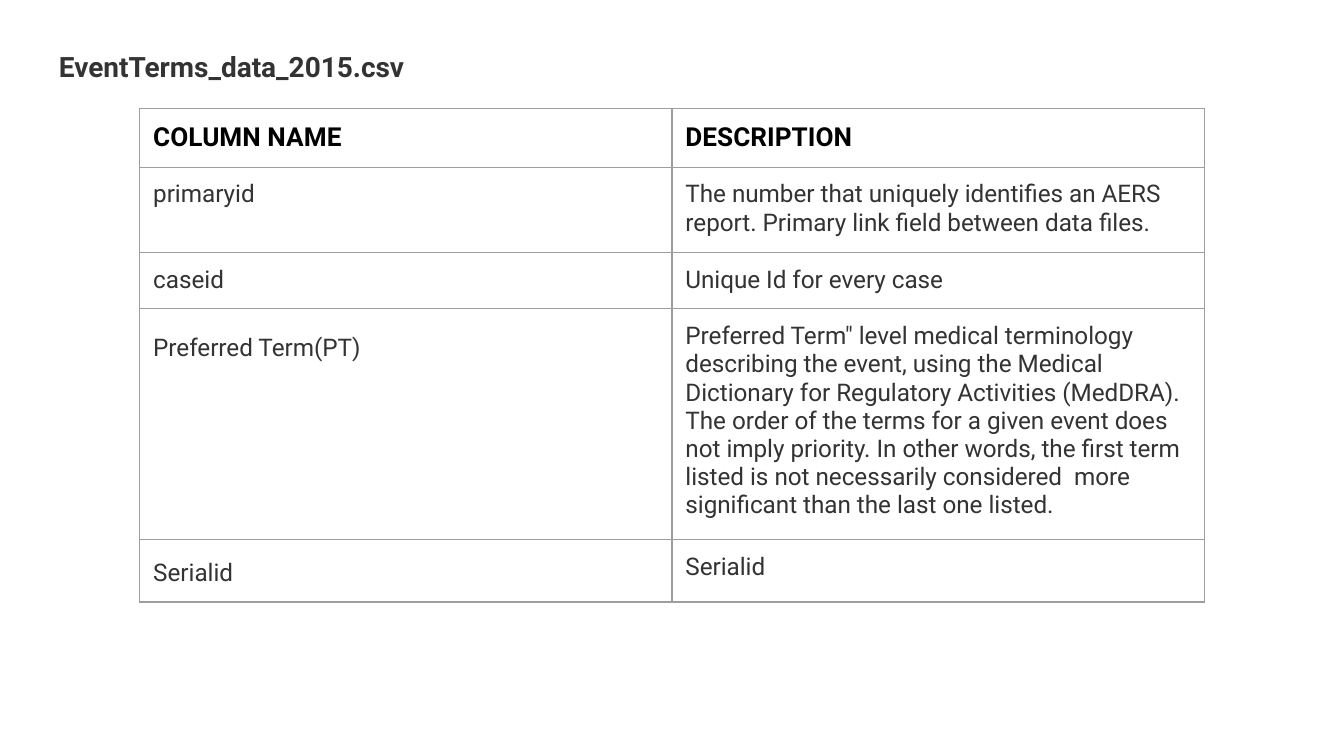
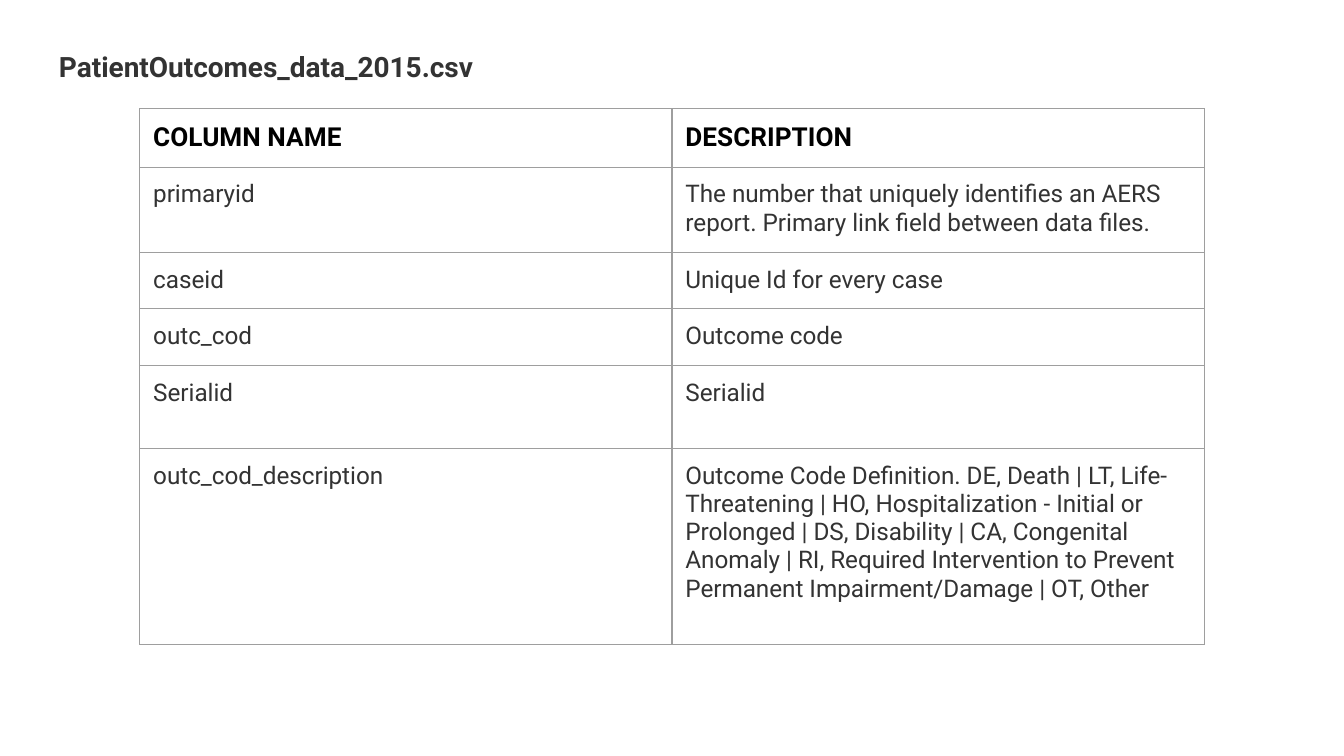
from lxml.etree import SubElement
from pptx import Presentation
from pptx.dml.color import RGBColor
from pptx.enum.text import MSO_ANCHOR
from pptx.oxml.ns import qn
from pptx.util import Inches, Pt

COLORS = {"background": "FFFFFF", "text": "333333", "heading": "000000", "border": "9E9E9E"}
FONT = "Roboto"
INSET = 0.1
ROW_HEIGHT = 0.42
BORDER_WIDTH = 0.75
TITLE_BOX = (0.34, 0.23, 9.32, 4.77)
TABLE_BOX = (1.04, 0.81, 7.92)  # left, top, width

HEADINGS = ("COLUMN NAME", "DESCRIPTION")
COMMON_FIELDS = [
    ("primaryid", "The number that uniquely identifies an AERS report. "
                  "Primary link field between data files."),
    ("caseid", "Unique Id for every case"),
]
EVENT_FIELDS = COMMON_FIELDS + [
    ("Preferred Term(PT)",
     'Preferred Term" level medical terminology describing the event, using the Medical '
     "Dictionary for Regulatory Activities (MedDRA). The order of the terms for a given "
     "event does not imply priority. In other words, the first term listed is not "
     "necessarily considered  more significant than the last one listed."),
    ("Serialid", "Serialid"),
]
OUTCOME_FIELDS = COMMON_FIELDS + [
    ("outc_cod", "Outcome code"),
    ("Serialid", "Serialid"),
    ("outc_cod_description",
     "Outcome Code Definition. DE, Death | LT, Life-Threatening | HO, Hospitalization - "
     "Initial or Prolonged | DS, Disability | CA, Congenital Anomaly | RI, Required "
     "Intervention to Prevent Permanent Impairment/Damage | OT, Other"),
]

# Paragraph formats and row heights that depart from the defaults, by field name
EVENT_FORMATS = {
    "Preferred Term(PT)": {"line_spacing": 1.43},
    "Serialid": {"line_spacing": 1.21, "space_after": 2},
}
OUTCOME_HEIGHTS = {"Serialid": 0.62, "outc_cod_description": 1.46}


def write_text(text_frame, text, size=13, color="text", bold=False,
               line_spacing=None, space_after=0):
    text_frame.word_wrap = True
    paragraph = text_frame.paragraphs[0]
    paragraph.line_spacing = line_spacing
    paragraph.space_after = Pt(space_after)
    run = paragraph.add_run()
    run.text = text
    run.font.name = FONT
    run.font.size = Pt(size)
    run.font.bold = bold
    run.font.color.rgb = RGBColor.from_string(COLORS[color])


def set_insets(holder):
    for side in ("left", "top", "right", "bottom"):
        setattr(holder, f"margin_{side}", Inches(INSET))
    holder.vertical_anchor = MSO_ANCHOR.TOP


def add_borders(cell):
    properties = cell._tc.get_or_add_tcPr()
    for edge in ("lnL", "lnR", "lnT", "lnB"):
        line = SubElement(properties, qn(f"a:{edge}"), w=str(Pt(BORDER_WIDTH)))
        fill = SubElement(line, qn("a:solidFill"))
        SubElement(fill, qn("a:srgbClr"), val=COLORS["border"])


def add_title(slide, box, text):
    text_frame = slide.shapes.add_textbox(*map(Inches, box)).text_frame
    set_insets(text_frame)
    write_text(text_frame, text, size=15, bold=True, line_spacing=1.15)


def add_field_table(slide, box, fields, formats, heights):
    left, top, width = box
    rows = [HEADINGS] + fields
    row_heights = [heights.get(name, ROW_HEIGHT) for name, _ in rows]
    table = slide.shapes.add_table(
        len(rows), len(HEADINGS), Inches(left), Inches(top),
        Inches(width), Inches(sum(row_heights))).table
    table.first_row = False
    table.horz_banding = False
    for column in table.columns:
        column.width = Inches(width / len(HEADINGS))
    for row_index, values in enumerate(rows):
        table.rows[row_index].height = Inches(row_heights[row_index])
        for column_index, value in enumerate(values):
            cell = table.cell(row_index, column_index)
            set_insets(cell)
            add_borders(cell)
            cell.fill.background()
            if row_index == 0:
                style = {"size": 14, "color": "heading", "bold": True}
            else:
                style = formats.get(value, {}) if column_index == 0 else {}
            write_text(cell.text_frame, value, **style)


def add_file_slide(presentation, file_name, fields, formats=None, heights=None):
    slide = presentation.slides.add_slide(presentation.slide_layouts[6])
    slide.background.fill.solid()
    slide.background.fill.fore_color.rgb = RGBColor.from_string(COLORS["background"])
    add_title(slide, TITLE_BOX, file_name)
    add_field_table(slide, TABLE_BOX, fields, formats or {}, heights or {})


def main():
    presentation = Presentation()
    presentation.slide_width = Inches(10)
    presentation.slide_height = Inches(10 * 9 / 16)  # widescreen
    add_file_slide(presentation, "EventTerms_data_2015.csv", EVENT_FIELDS,
                   formats=EVENT_FORMATS)
    add_file_slide(presentation, "PatientOutcomes_data_2015.csv", OUTCOME_FIELDS,
                   heights=OUTCOME_HEIGHTS)
    presentation.save("out.pptx")


if __name__ == "__main__":
    main()
